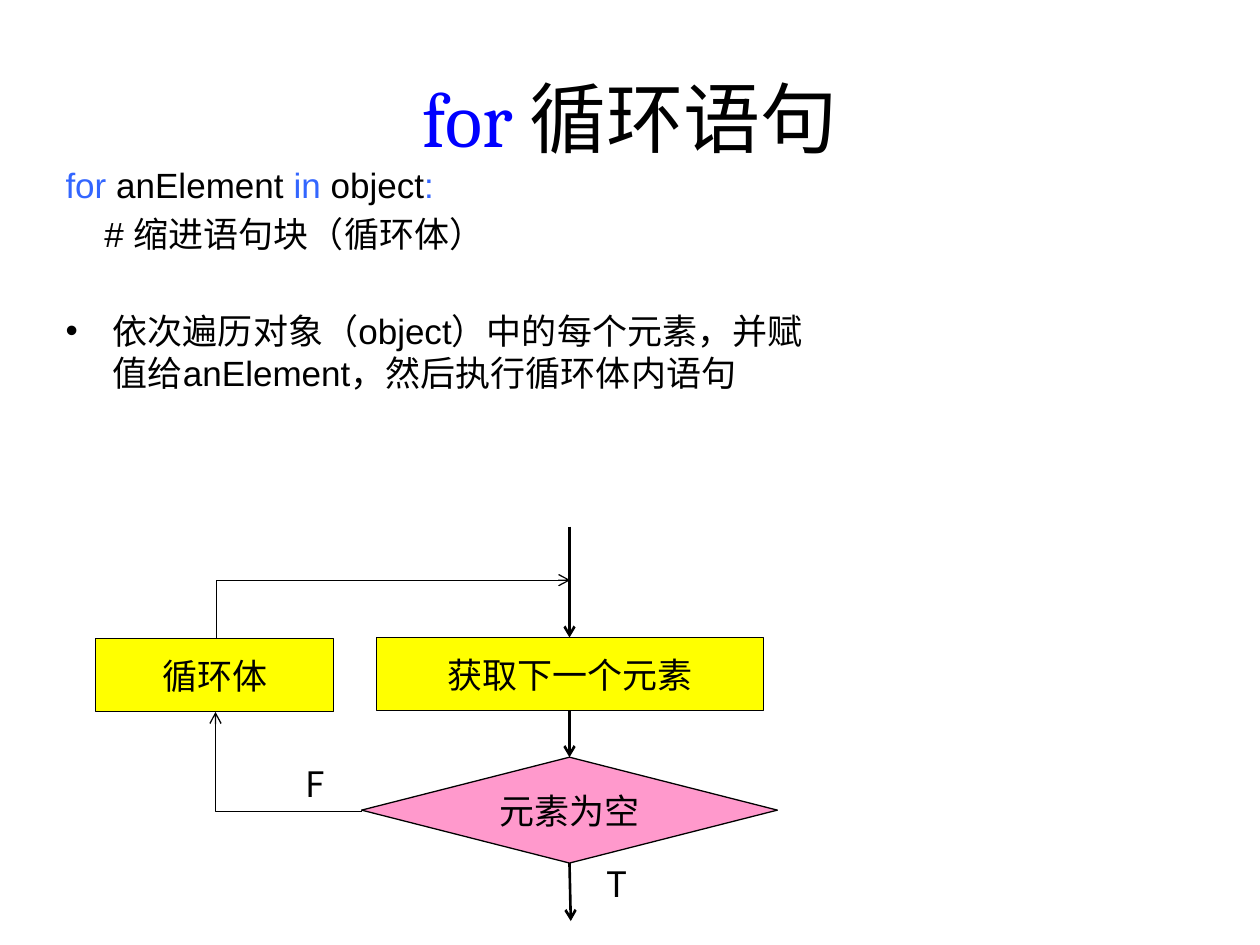
from dataclasses import dataclass

from lxml import etree
from pptx import Presentation
from pptx.dml.color import RGBColor
from pptx.enum.shapes import MSO_CONNECTOR, MSO_SHAPE
from pptx.enum.text import MSO_ANCHOR, PP_ALIGN
from pptx.oxml.ns import qn
from pptx.shapes.connector import Connector
from pptx.shapes.shapetree import GroupShapes
from pptx.text.text import TextFrame
from pptx.util import Inches, Pt

STRAIGHT, ELBOW = MSO_CONNECTOR.STRAIGHT, MSO_CONNECTOR.ELBOW
PROCESS, DECISION = MSO_SHAPE.RECTANGLE, MSO_SHAPE.FLOWCHART_DECISION
CENTER, MIDDLE = PP_ALIGN.CENTER, MSO_ANCHOR.MIDDLE


@dataclass(frozen=True)
class Theme:
    ink: RGBColor = RGBColor(0x00, 0x00, 0x00)
    title_keyword: RGBColor = RGBColor(0x00, 0x00, 0xFF)
    keyword: RGBColor = RGBColor(0x33, 0x66, 0xFF)
    process: RGBColor = RGBColor(0xFF, 0xFF, 0x00)
    decision: RGBColor = RGBColor(0xFF, 0x99, 0xCC)
    title_font: str = "Cambria"
    body_font: str = "Arial"
    chart_font: str = "Noto Sans CJK SC"
    title_size: Pt = Pt(44)
    text_size: Pt = Pt(20)
    thin: Pt = Pt(0.75)
    thick: Pt = Pt(1.5)


@dataclass(frozen=True)
class Box:
    left: float
    top: float
    width: float
    height: float

    def emu(self) -> tuple:
        return tuple(Inches(v) for v in (self.left, self.top, self.width, self.height))


@dataclass(frozen=True)
class Node:
    text: str
    kind: MSO_SHAPE
    box: Box
    fill: RGBColor


@dataclass(frozen=True)
class Branch:
    text: str
    box: Box


@dataclass(frozen=True)
class Flow:
    start: tuple
    end: tuple


@dataclass(frozen=True)
class Corner:
    """A one-bend arrow: its unrotated frame, turn in degrees and flips."""
    frame: Box
    turn: int
    flipped: bool


THEME = Theme()

DECISION_NODE = Node("元素为空", DECISION, Box(2.87, 6.01, 3.3, 0.84), THEME.decision)
NEXT_NODE = Node("获取下一个元素", PROCESS, Box(2.99, 5.06, 3.07, 0.58), THEME.process)
LOOP_NODE = Node("循环体", PROCESS, Box(0.76, 5.07, 1.89, 0.58), THEME.process)
BRANCHES = (Branch("T", Box(4.52, 6.73, 0.76, 0.49)),
            Branch("F", Box(2.12, 5.94, 0.76, 0.49)))
FLOWS = (Flow((4.52, 5.64), (4.52, 6.01)),
         Flow((4.52, 6.85), (4.53, 7.31)),
         Flow((4.52, 4.18), (4.52, 5.06)))
CORNERS = (Corner(Box(1.71, 5.65, 1.16, 0.79), 180, False),
           Corner(Box(2.89, 3.43, 0.46, 2.81), 90, True))

CODE_LINES = (
    (("for ", THEME.keyword), ("anElement ", THEME.ink), ("in", THEME.keyword),
     (" object", THEME.ink), (":", THEME.keyword)),
    (("    # 缩进语句块（循环体）", THEME.ink),),
)
EXPLANATION = "依次遍历对象（object）中的每个元素，并赋值给anElement，然后执行循环体内语句"


def place(shape, box: Box) -> None:
    shape.left, shape.top, shape.width, shape.height = box.emu()


def add_runs(paragraph, runs: tuple) -> None:
    for text, color in runs:
        run = paragraph.add_run()
        run.text = text
        run.font.color.rgb = color


def fill_title(title) -> None:
    place(title, Box(0.5, 0.3, 9, 1.25))
    title.text_frame.vertical_anchor = MIDDLE
    heading = title.text_frame.paragraphs[0]
    heading.alignment = CENTER
    heading.font.name, heading.font.size = THEME.title_font, THEME.title_size
    add_runs(heading, (("for ", THEME.title_keyword), ("循环语句", THEME.ink)))


def fill_body(body) -> None:
    place(body, Box(0.42, 1.25, 6.08, 5.42))
    frame = body.text_frame
    for index, runs in enumerate(CODE_LINES):
        line = frame.add_paragraph() if index else frame.paragraphs[0]
        line.space_before = Pt(4 * index)
        properties = line._p.get_or_add_pPr()
        properties.set("marL", "0")
        properties.set("indent", "0")
        etree.SubElement(properties, qn("a:buNone"))
        add_runs(line, runs)
    explanation = frame.add_paragraph()
    explanation.space_before = Pt(31.5)
    add_runs(explanation, ((EXPLANATION, THEME.ink),))
    for paragraph in frame.paragraphs:
        paragraph.font.name, paragraph.font.size = THEME.body_font, THEME.text_size


def write_label(frame: TextFrame, text: str) -> None:
    frame.vertical_anchor = MIDDLE
    label = frame.paragraphs[0]
    label.text = text
    label.alignment = CENTER
    label.font.name, label.font.size = THEME.chart_font, THEME.text_size
    label.font.color.rgb = THEME.ink


def draw_node(shapes: GroupShapes, node: Node) -> None:
    step = shapes.add_shape(node.kind, *node.box.emu())
    step.shadow.inherit = False
    step.fill.solid()
    step.fill.fore_color.rgb = node.fill
    step.line.color.rgb, step.line.width = THEME.ink, THEME.thin
    step.text_frame.word_wrap = False
    write_label(step.text_frame, node.text)


def draw_branch(shapes: GroupShapes, branch: Branch) -> None:
    frame = shapes.add_textbox(*branch.box.emu()).text_frame
    frame.word_wrap = True
    frame.margin_left = frame.margin_right = Inches(0.02)
    frame.margin_top, frame.margin_bottom = Inches(0.08), Inches(0.01)
    write_label(frame, branch.text)


def style_arrow(arrow: Connector, width: Pt) -> None:
    arrow.line.color.rgb, arrow.line.width = THEME.ink, width
    etree.SubElement(arrow.line._get_or_add_ln(), qn("a:tailEnd"), type="arrow")
    etree.SubElement(arrow._element.spPr, qn("a:effectLst"))


def draw_flow(shapes: GroupShapes, flow: Flow) -> None:
    ends = (Inches(v) for v in flow.start + flow.end)
    style_arrow(shapes.add_connector(STRAIGHT, *ends), THEME.thick)


def draw_corner(shapes: GroupShapes, corner: Corner) -> None:
    left, top, width, height = corner.frame.emu()
    arrow = shapes.add_connector(ELBOW, left, top, left + width, top + height)
    properties = arrow._element.spPr
    properties.find(qn("a:prstGeom")).set("prst", "bentConnector2")
    transform = properties.find(qn("a:xfrm"))
    transform.set("rot", str(corner.turn * 60000))
    if corner.flipped:
        transform.set("flipH", "1")
        transform.set("flipV", "1")
    style_arrow(arrow, THEME.thin)


def main() -> None:
    deck = Presentation()
    deck.slide_width, deck.slide_height = Inches(10), Inches(7.5)
    slide = deck.slides.add_slide(deck.slide_layouts[1])

    # Heading and syntax
    fill_title(slide.shapes.title)
    fill_body(slide.placeholders[1])

    # Loop flowchart
    flowchart = slide.shapes.add_group_shape().shapes
    for node in (DECISION_NODE, NEXT_NODE, LOOP_NODE):
        draw_node(flowchart, node)
    for branch in BRANCHES:
        draw_branch(flowchart, branch)
    for flow in FLOWS:
        draw_flow(flowchart, flow)
    for corner in CORNERS:
        draw_corner(flowchart, corner)

    deck.save("out.pptx")


if __name__ == "__main__":
    main()
